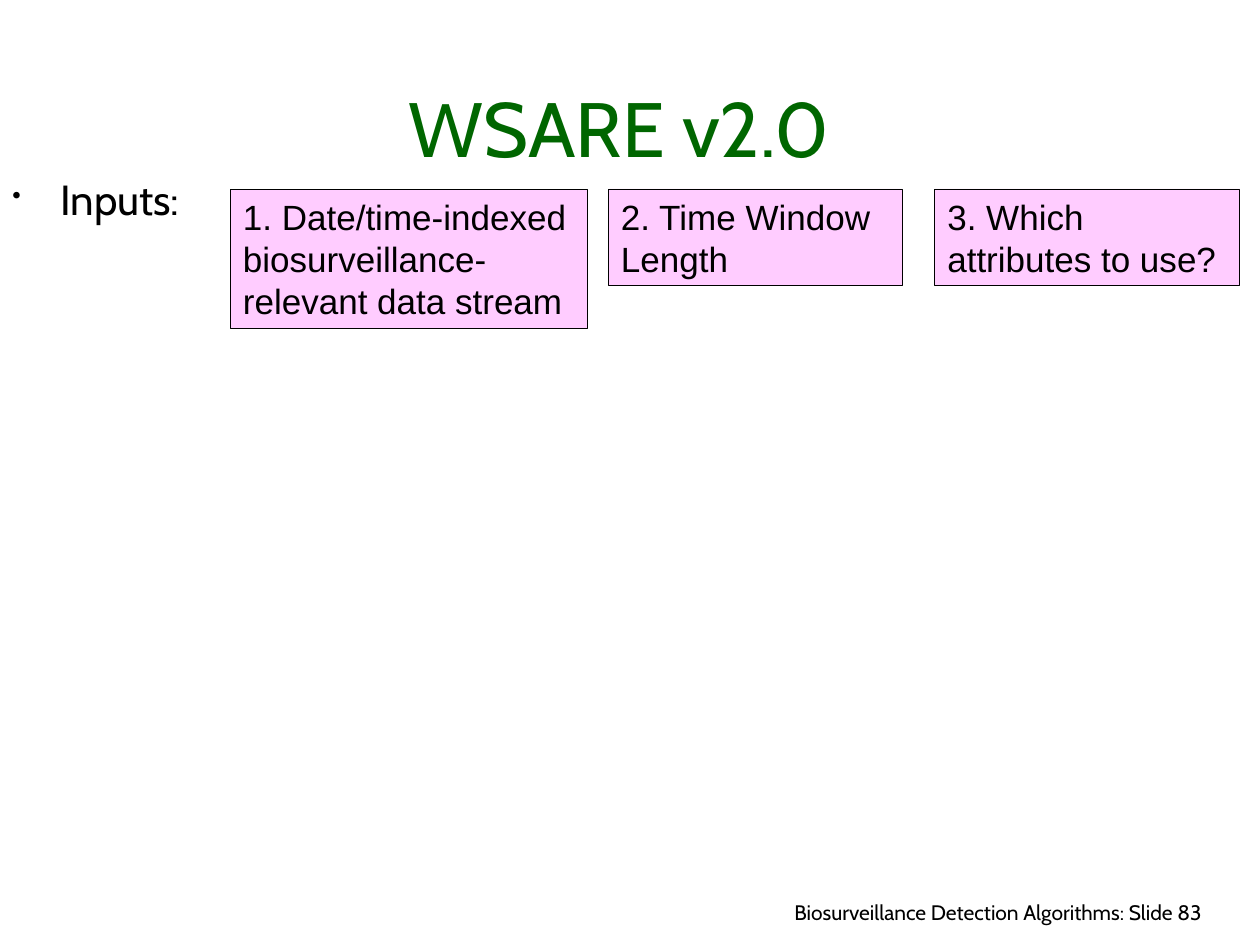
from lxml.etree import SubElement
from pptx import Presentation
from pptx.dml.color import RGBColor
from pptx.enum.shapes import MSO_SHAPE as Shape
from pptx.enum.text import MSO_ANCHOR as Anchor, PP_ALIGN as Align
from pptx.oxml.ns import qn
from pptx.util import Inches, Pt

WIDTH, HEIGHT = 10, 7.5
BLACK, GREEN, PINK = "000000", "006600", "FFCCFF"
INPUTS_TOP = 0.2 * HEIGHT
LINE_HEIGHT, PADDING = 0.335, 0.1
# Left edge, width, number of text lines, wording
INPUTS = [
    (1.83, 2.83, 3, "1. Date/time-indexed biosurveillance-relevant data stream"),
    (4.83, 2.33, 2, "2. Time Window Length"),
    (7.42, 2.42, 2, "3. Which attributes to use?"),
]


def color(hex_value):
    return RGBColor.from_string(hex_value)


def add_bullet(paragraph, char="•", size=60, indent=0.38):
    props = paragraph._p.get_or_add_pPr()
    props.set("marL", str(Inches(indent)))
    props.set("indent", str(-Inches(indent)))
    SubElement(props, qn("a:buSzPct"), val=str(size * 1000))
    SubElement(props, qn("a:buChar"), char=char)


def write(shape, text, *, size, font="Cabin", fill=BLACK, align=Align.LEFT,
          anchor=Anchor.TOP, bullet=False):
    frame = shape.text_frame
    frame.word_wrap = True
    frame.vertical_anchor = anchor
    paragraph = frame.paragraphs[0]
    paragraph.alignment = align
    if bullet:
        add_bullet(paragraph)
    run = paragraph.add_run()
    run.text = text
    run.font.size = Pt(size)
    run.font.name = font
    run.font.color.rgb = color(fill)


def add_text(slide, box, text, **style):
    write(slide.shapes.add_textbox(*map(Inches, box)), text, **style)


def add_input(slide, box, text):
    """Draw one pink, outlined box that names an input."""
    panel = slide.shapes.add_shape(Shape.RECTANGLE, *map(Inches, box))
    panel.shadow.inherit = False
    panel.fill.solid()
    panel.fill.fore_color.rgb = color(PINK)
    panel.line.color.rgb = color(BLACK)
    panel.line.width = Pt(0.5)
    write(panel, text, size=20, font="Arial")


def add_inputs(slide, top):
    add_text(slide, (0, top - 0.17, 1.75, 0.75), "Inputs:", size=24, bullet=True)
    for left, width, lines, text in INPUTS:
        add_input(slide, (left, top, width, lines * LINE_HEIGHT + PADDING), text)


def main():
    deck = Presentation()
    deck.slide_width, deck.slide_height = Inches(WIDTH), Inches(HEIGHT)
    slide = deck.slides.add_slide(deck.slide_layouts[6])
    add_text(slide, (5.72, 7.09, 3.92, 0.33),
             "Biosurveillance Detection Algorithms: Slide 83",
             size=12, align=Align.RIGHT)
    add_text(slide, (0.25, 0.25, 9.33, 1.17), "WSARE v2.0", size=44, fill=GREEN,
             align=Align.CENTER, anchor=Anchor.BOTTOM)
    add_inputs(slide, INPUTS_TOP)
    deck.save("out.pptx")


if __name__ == "__main__":
    main()
